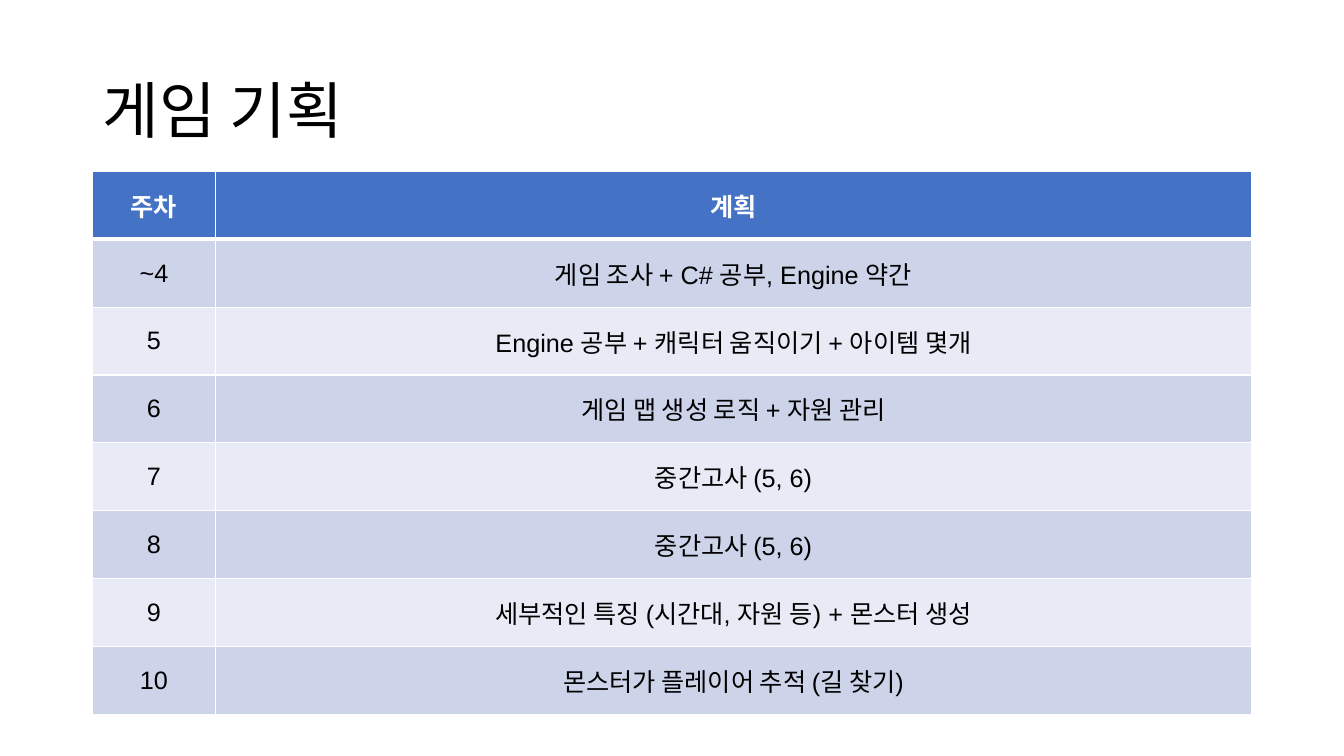
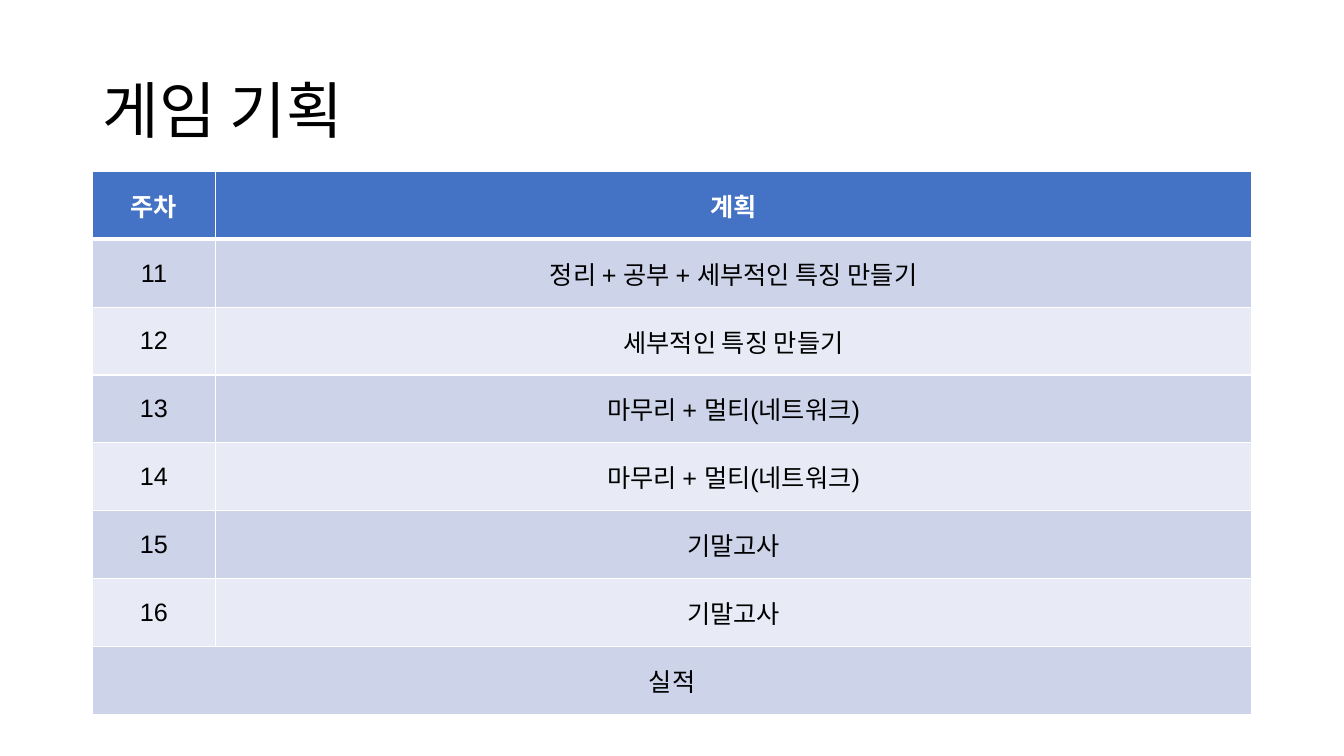
"""Build the two game planning schedule slides."""
from lxml import etree
from pptx import Presentation
from pptx.dml.color import RGBColor
from pptx.enum.text import MSO_ANCHOR, PP_ALIGN
from pptx.oxml.ns import qn
from pptx.util import Cm, Pt

CENTER = PP_ALIGN.CENTER
LEFT = PP_ALIGN.LEFT
MIDDLE = MSO_ANCHOR.MIDDLE

COLORS = {
    "header": "4472C4",
    "odd_row": "CDD4EA",
    "even_row": "E8EBF5",
    "border": "FFFFFF",
    "header_text": "FFFFFF",
    "text": "000000",
}
LATIN_FONT = "Arial"
KOREAN_FONT = "Noto Sans CJK KR"
TITLE_ONLY_LAYOUT = 5
MARGIN_LEFT = Cm(2.33)
COLUMN_WIDTHS = (Cm(3.1), Cm(26.11))
ROW_HEIGHT = Cm(1.71)
THIN_LINE = Pt(1)
THICK_LINE = Pt(3)

TITLE = "게임 기획"
HEADER = ("주차", "계획")
SCHEDULES = (
    (
        ("~4", "게임 조사 + C# 공부, Engine 약간"),
        ("5", "Engine 공부 + 캐릭터 움직이기 + 아이템 몇개"),
        ("6", "게임 맵 생성 로직 + 자원 관리"),
        ("7", "중간고사 (5, 6)"),
        ("8", "중간고사 (5, 6)"),
        ("9", "세부적인 특징 (시간대, 자원 등) + 몬스터 생성"),
        ("10", "몬스터가 플레이어 추적 (길 찾기)"),
    ),
    (
        ("11", "정리 + 공부 + 세부적인 특징 만들기"),
        ("12", "세부적인 특징 만들기"),
        ("13", "마무리 + 멀티(네트워크)"),
        ("14", "마무리 + 멀티(네트워크)"),
        ("15", "기말고사"),
        ("16", "기말고사"),
        ("실적",),
    ),
)


def set_text(text_frame, text, size, color, alignment, font=LATIN_FONT, bold=False):
    """Write one paragraph and format its runs."""
    text_frame.text = text
    paragraph = text_frame.paragraphs[0]
    paragraph.alignment = alignment
    for run in paragraph.runs:
        run.font.size = Pt(size)
        run.font.name = font
        run.font.bold = bold
        run.font.color.rgb = RGBColor.from_string(COLORS[color])
        east_asian = etree.SubElement(run.font._element, qn("a:ea"))
        east_asian.set("typeface", KOREAN_FONT)


def set_borders(cell, top, bottom):
    """Draw the four borders of a table cell."""
    properties = cell._tc.get_or_add_tcPr()
    widths = {"lnL": THIN_LINE, "lnR": THIN_LINE, "lnT": top, "lnB": bottom}
    for index, (side, width) in enumerate(widths.items()):
        line = etree.Element(qn(f"a:{side}"), w=str(int(width)))
        fill = etree.SubElement(line, qn("a:solidFill"))
        etree.SubElement(fill, qn("a:srgbClr"), val=COLORS["border"])
        properties.insert(index, line)


def add_title(slide):
    """Place and format the slide title."""
    title = slide.shapes.title
    title.left, title.top = MARGIN_LEFT, Cm(1.01)
    title.width, title.height = sum(COLUMN_WIDTHS), Cm(3.68)
    title.text_frame.vertical_anchor = MIDDLE
    set_text(title.text_frame, TITLE, 44, "text", LEFT, KOREAN_FONT)
    title.text_frame.paragraphs[0].line_spacing = 0.9


def format_cell(cell, row_index):
    """Give a cell the fill and borders of its row."""
    if row_index == 0:
        fill_color = "header"
    else:
        fill_color = "odd_row" if row_index % 2 else "even_row"
    cell.vertical_anchor = MIDDLE
    cell.fill.solid()
    cell.fill.fore_color.rgb = RGBColor.from_string(COLORS[fill_color])
    set_borders(
        cell,
        top=THICK_LINE if row_index == 1 else THIN_LINE,
        bottom=THICK_LINE if row_index == 0 else THIN_LINE,
    )


def add_schedule(slide, schedule):
    """Add the schedule table, merging rows that hold a single text."""
    rows = (HEADER, *schedule)
    table = slide.shapes.add_table(
        len(rows), len(HEADER), MARGIN_LEFT, Cm(4.32),
        sum(COLUMN_WIDTHS), ROW_HEIGHT * len(rows),
    ).table
    for column, width in zip(table.columns, COLUMN_WIDTHS):
        column.width = width
    for row_index, texts in enumerate(rows):
        table.rows[row_index].height = ROW_HEIGHT
        is_header = row_index == 0
        for column_index in range(len(HEADER)):
            format_cell(table.cell(row_index, column_index), row_index)
        if len(texts) == 1:
            table.cell(row_index, 0).merge(table.cell(row_index, len(HEADER) - 1))
        for column_index, text in enumerate(texts):
            set_text(
                table.cell(row_index, column_index).text_frame, text, 18,
                "header_text" if is_header else "text", CENTER, bold=is_header,
            )


def main():
    """Create and save the presentation."""
    presentation = Presentation()
    presentation.slide_width, presentation.slide_height = Cm(33.87), Cm(19.05)
    layout = presentation.slide_layouts[TITLE_ONLY_LAYOUT]
    for schedule in SCHEDULES:
        slide = presentation.slides.add_slide(layout)
        add_title(slide)
        add_schedule(slide, schedule)
    presentation.save("out.pptx")


if __name__ == "__main__":
    main()
